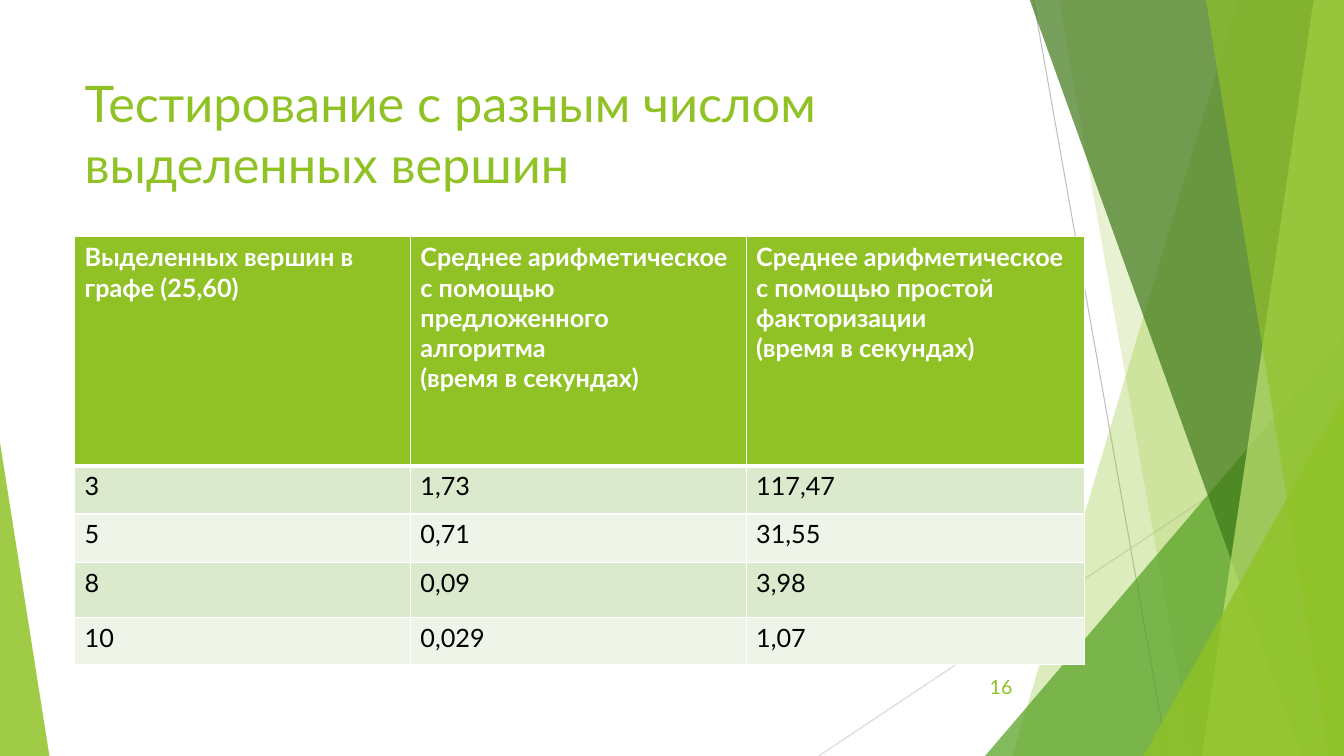
from lxml.etree import SubElement
from pptx import Presentation
from pptx.dml.color import RGBColor
from pptx.enum.shapes import MSO_CONNECTOR, MSO_SHAPE
from pptx.enum.text import MSO_ANCHOR, MSO_AUTO_SIZE, PP_ALIGN
from pptx.oxml.ns import qn
from pptx.util import Inches, Pt

COLORS = {
    "lime": "90C226", "green": "54A021", "forest": "3F7819", "pale": "C0E474",
    "line_dark": "BFBFBF", "line_light": "D9D9D9", "white": "FFFFFF",
    "black": "000000", "band_dark": "DBE9CD", "band_light": "EEF4E8",
}
FACET_LINES = [("line_dark", 10.25, 0, 11.58, 7.5), ("line_light", 13.33, 4.03, 8.12, 7.5)]
TOP, BOTTOM, RIGHT = -0.01, 7.5, 13.33
BACK_FACETS = [(12.28, 10.04, "lime", 30), (10.5, 11.83, "lime", 20)]
FRONT_FACETS = [(10.21, 12.91, "forest", 70), (13.03, 11.92, "pale", 70),
                (11.96, 13.18, "lime", 65)]
HEADERS = [
    ["Выделенных вершин в графе (25,60)"],
    ["Среднее арифметическое с помощью предложенного алгоритма", "(время в секундах)"],
    ["Среднее арифметическое с помощью простой факторизации", "(время в секундах)"],
]
RESULTS = [("3", "1,73", "117,47"), ("5", "0,71", "31,55"),
           ("8", "0,09", "3,98"), ("10", "0,029", "1,07")]


class Deck:
    font = "Lato"

    def __init__(self):
        self.prs = Presentation()
        self.prs.slide_width, self.prs.slide_height = Inches(13.33), Inches(7.5)
        self.s = self.prs.slides.add_slide(self.prs.slide_layouts[5])

    def rgb(self, name):
        return RGBColor.from_string(COLORS[name])

    def style(self, p, size, color, bold=False, align=PP_ALIGN.LEFT):
        p.alignment = align
        p.font.name, p.font.size, p.font.bold = self.font, Pt(size), bold
        p.font.color.rgb = self.rgb(color)

    def paint(self, sp, color, opacity):
        sp.shadow.inherit = False
        sp.line.fill.background()
        sp.fill.solid()
        sp.fill.fore_color.rgb = self.rgb(color)
        clr = sp.fill._xPr.find(qn("a:solidFill"))[0]
        SubElement(clr, qn("a:alpha"), val=str(opacity * 1000))

    def line(self, color, x1, y1, x2, y2):
        c = self.s.shapes.add_connector(MSO_CONNECTOR.STRAIGHT, *map(Inches, (x1, y1, x2, y2)))
        c.line.color.rgb, c.line.width = self.rgb(color), Pt(0.75)
        SubElement(c._element.spPr, qn("a:effectLst"))

    def facet(self, top_x, bottom_x, color, opacity):
        points = [(top_x, TOP), (RIGHT, TOP), (RIGHT, BOTTOM), (bottom_x, BOTTOM)]
        points = [(Inches(x), Inches(y)) for x, y in points]
        fb = self.s.shapes.build_freeform(*points[0])
        fb.add_line_segments(points[1:])
        self.paint(fb.convert_to_shape(), color, opacity)

    def triangle(self, x, y, w, h, apex, color, opacity):
        sp = self.s.shapes.add_shape(MSO_SHAPE.ISOSCELES_TRIANGLE, *map(Inches, (x, y, w, h)))
        sp.adjustments[0] = apex
        self.paint(sp, color, opacity)

    def title(self, lines, x, y, w, h):
        sp = self.s.shapes.title
        sp.left, sp.top, sp.width, sp.height = map(Inches, (x, y, w, h))
        tf = sp.text_frame
        tf.word_wrap, tf.auto_size = True, MSO_AUTO_SIZE.NONE
        tf.vertical_anchor = MSO_ANCHOR.TOP
        p = tf.paragraphs[0]
        for i, line in enumerate(lines):
            if i:
                p.add_line_break()
            p.add_run().text = line
        self.style(p, 36, "lime")

    def number(self, text, x, y, w, h):
        tf = self.s.shapes.add_textbox(*map(Inches, (x, y, w, h))).text_frame
        tf.word_wrap, tf.vertical_anchor = True, MSO_ANCHOR.MIDDLE
        tf.text = text
        self.style(tf.paragraphs[0], 14, "lime", align=PP_ALIGN.RIGHT)

    def cell(self, cell, lines, fill, color, bold, top, bottom):
        tcPr = cell._tc.get_or_add_tcPr()
        for side, width in (("L", 1), ("R", 1), ("T", top), ("B", bottom)):
            ln = SubElement(tcPr, qn(f"a:ln{side}"), w=str(Pt(width)))
            SubElement(SubElement(ln, qn("a:solidFill")), qn("a:srgbClr"), val=COLORS["white"])
        cell.fill.solid()
        cell.fill.fore_color.rgb = self.rgb(fill)
        tf = cell.text_frame
        for i, line in enumerate(lines):
            p = tf.add_paragraph() if i else tf.paragraphs[0]
            p.text = line
            self.style(p, 18, color, bold)

    def table(self, x, y, widths, heights):
        size = map(Inches, (x, y, sum(widths), sum(heights)))
        table = self.s.shapes.add_table(len(heights), len(widths), *size).table
        for col, w in zip(table.columns, widths):
            col.width = Inches(w)
        for row, h in zip(table.rows, heights):
            row.height = Inches(h)
        for c, lines in enumerate(HEADERS):
            self.cell(table.cell(0, c), lines, "lime", "white", True, 1, 3)
        for r, values in enumerate(RESULTS, 1):
            band = "band_dark" if r % 2 else "band_light"
            for c, value in enumerate(values):
                self.cell(table.cell(r, c), [value], band, "black", False, 3 if r == 1 else 1, 1)


def main():
    deck = Deck()
    for line in FACET_LINES:
        deck.line(*line)
    for facet in BACK_FACETS:
        deck.facet(*facet)
    deck.triangle(9.77, 3.33, 3.56, 4.17, 1, "green", 72)
    for facet in FRONT_FACETS:
        deck.facet(*facet)
    deck.triangle(11.34, 3.93, 1.99, 3.57, 1, "lime", 80)
    deck.triangle(0, 4.39, 0.49, 3.11, 0, "lime", 85)
    deck.title(["Тестирование с разным числом", "выделенных вершин"], 0.74, 0.67, 9.4, 1.44)
    deck.number("16", 9.39, 6.61, 0.75, 0.4)
    deck.table(0.74, 2.35, [3.33, 3.33, 3.36], [2.27, 0.48, 0.48, 0.55, 0.46])
    deck.prs.save("out.pptx")


if __name__ == "__main__":
    main()
